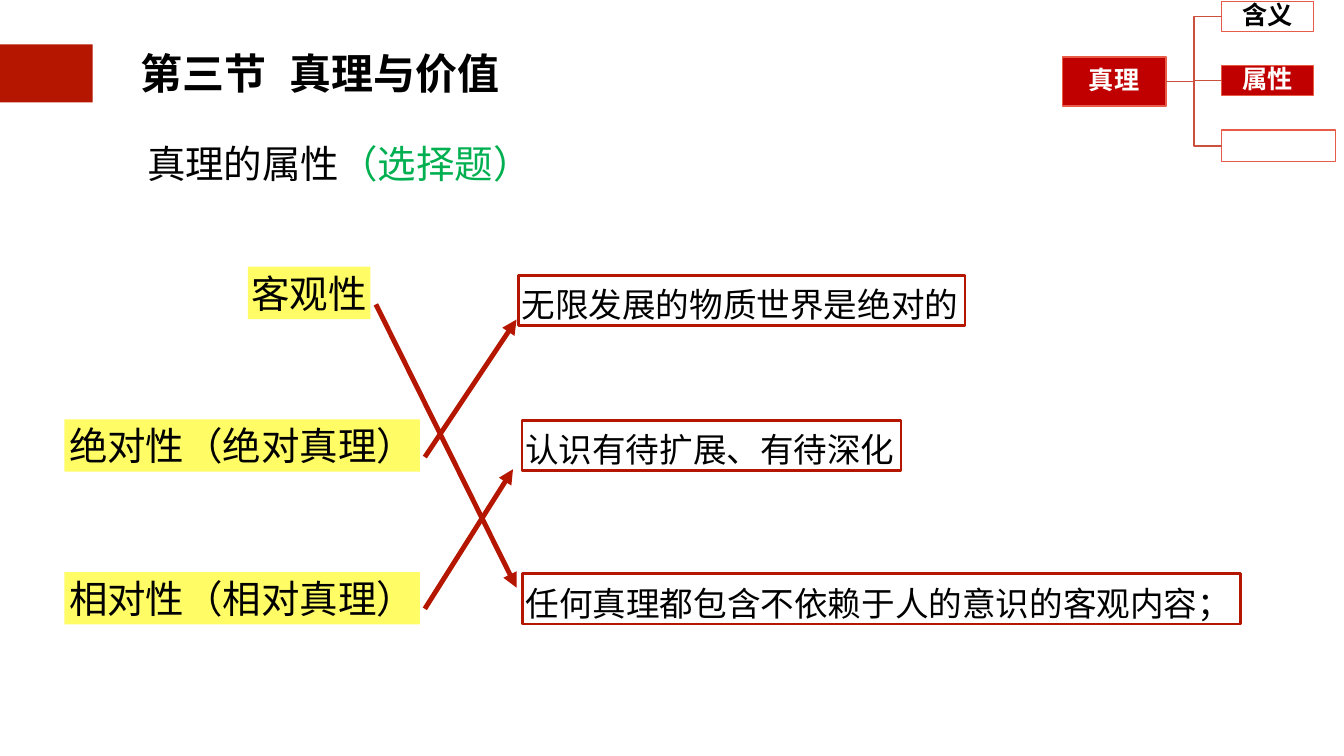
from lxml.etree import SubElement
from pptx import Presentation
from pptx.dml.color import RGBColor
from pptx.enum.shapes import MSO_CONNECTOR, MSO_SHAPE
from pptx.enum.text import MSO_ANCHOR, MSO_AUTO_SIZE, PP_ALIGN
from pptx.oxml.ns import qn
from pptx.util import Inches, Pt

HUES = {"red": "B51600", "deep": "C00000", "edge": "E75B47", "link": "CC503E",
        "yellow": "FFFC66", "green": "00B050", "black": "000000", "white": "FFFFFF"}
HUES = {name: RGBColor.from_string(code) for name, code in HUES.items()}
SANS = "Noto Sans CJK SC"


def write(shape, parts, size, font=SANS, bold=False, align=PP_ALIGN.CENTER,
          space=1.0, inset=0.06, fit=True):
    frame = shape.text_frame
    frame.vertical_anchor = MSO_ANCHOR.MIDDLE
    frame.margin_left = frame.margin_right = Inches(inset)
    frame.margin_top = frame.margin_bottom = Inches(inset)
    frame.word_wrap = not fit
    frame.auto_size = MSO_AUTO_SIZE.SHAPE_TO_FIT_TEXT if fit else MSO_AUTO_SIZE.NONE
    para = frame.paragraphs[0]
    para.alignment = align
    para.line_spacing = space
    for text, hue in parts:
        run = para.add_run()
        run.text = text
        run.font.size = Pt(size)
        run.font.bold = bold
        run.font.color.rgb = HUES[hue]
        run.font.name = font
        SubElement(run.font._element, qn("a:ea"), typeface=font)


def box(left, top, width, height, fill=None, line=None, weight=2):
    shape = slide.shapes.add_shape(MSO_SHAPE.RECTANGLE, Inches(left), Inches(top),
                                   Inches(width), Inches(height))
    shape.shadow.inherit = False
    if fill:
        shape.fill.solid()
        shape.fill.fore_color.rgb = HUES[fill]
    else:
        shape.fill.background()
    if line:
        shape.line.color.rgb = HUES[line]
        shape.line.width = Pt(weight)
    else:
        shape.line.fill.background()
    return shape


deck = Presentation()
deck.slide_width, deck.slide_height = Inches(26.67), Inches(15)
slide = deck.slides.add_slide(deck.slide_layouts[5])

box(0, 0.88, 1.84, 1.15, "red")
title = slide.shapes.title
title.left, title.top = Inches(2.72), Inches(0.81)
title.width, title.height = Inches(7.26), Inches(1.28)
write(title, [("第三节", "black"), (" ", "black"), ("真理与价值", "black")],
      60, "Arial", True)
gap = title.text_frame.paragraphs[0].runs[1]
gap.font._element.set("spc", "1667")

topic = slide.shapes.add_textbox(Inches(2.82), Inches(2.71), Inches(7.83), Inches(1.04))
write(topic, [("真理的属性", "black"), ("（选择题）", "green")], 55)

terms = [("客观性", 4.92, 2.43), ("绝对性（绝对真理）", 1.28, 7.05),
         ("相对性（相对真理）", 1.28, 7.05)]
for row, (text, left, width) in enumerate(terms):
    term = box(left, 5.29 + 3.03 * row, width, 1.04, "yellow")
    write(term, [(text, "black")], 55)

claims = [("无限发展的物质世界是绝对的", 10.29, 5.46, 8.86),
          ("认识有待扩展、有待深化", 10.36, 8.34, 7.52),
          ("任何真理都包含不依赖于人的意识的客观内容；", 10.37, 11.38, 14.25)]
for text, left, top, width in claims:
    claim = box(left, top, width, 1, line="red", weight=4)
    write(claim, [(text, "black")], 48, align=PP_ALIGN.LEFT, space=1.2)

root = box(21.08, 1.13, 2.06, 0.97, "deep", "edge")
write(root, [("真理", "white")], 36, bold=True, space=0.9, inset=0.03, fit=False)
lines = []
nodes = [("含义", 0.03, 1.82, 0.59, None, "black"),
         ("属性", 1.3, 1.82, 0.59, "deep", "white"),
         ("", 2.58, 2.26, 0.63, "white", "black")]
for text, top, width, height, fill, hue in nodes:
    node = box(24.24, top, width, height, fill, "edge")
    if text:
        write(node, [(text, hue)], 36, bold=True, space=0.9, inset=0.03, fit=False)
    branch = slide.shapes.add_connector(MSO_CONNECTOR.ELBOW, 0, 0, 0, 0)
    branch.begin_connect(root, 3)
    branch.end_connect(node, 1)
    lines.append((branch, "link", 2))

arrows = [(7.46, 6.04, 10.25, 11.66), (8.43, 9.07, 10.25, 6.34),
          (8.43, 12.08, 10.18, 9.31)]
for ends in arrows:
    arrow = slide.shapes.add_connector(MSO_CONNECTOR.STRAIGHT, *map(Inches, ends))
    lines.append((arrow, "red", 7))

for line, hue, weight in lines:
    line.line.color.rgb = HUES[hue]
    line.line.width = Pt(weight)
    if hue == "red":
        SubElement(line.line._get_or_add_ln(), qn("a:tailEnd"), type="triangle")
    SubElement(line._element.spPr, qn("a:effectLst"))

deck.save("out.pptx")
